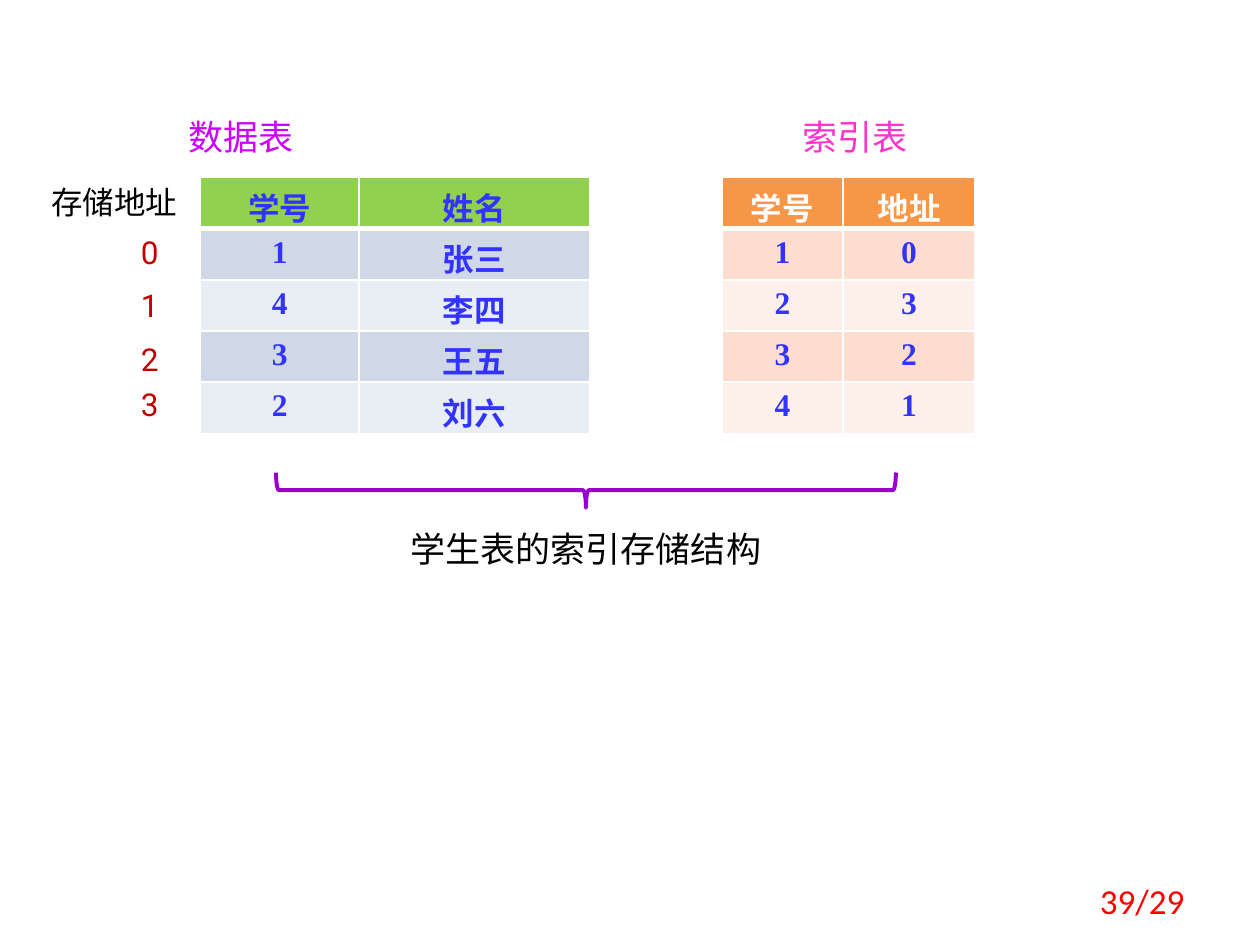
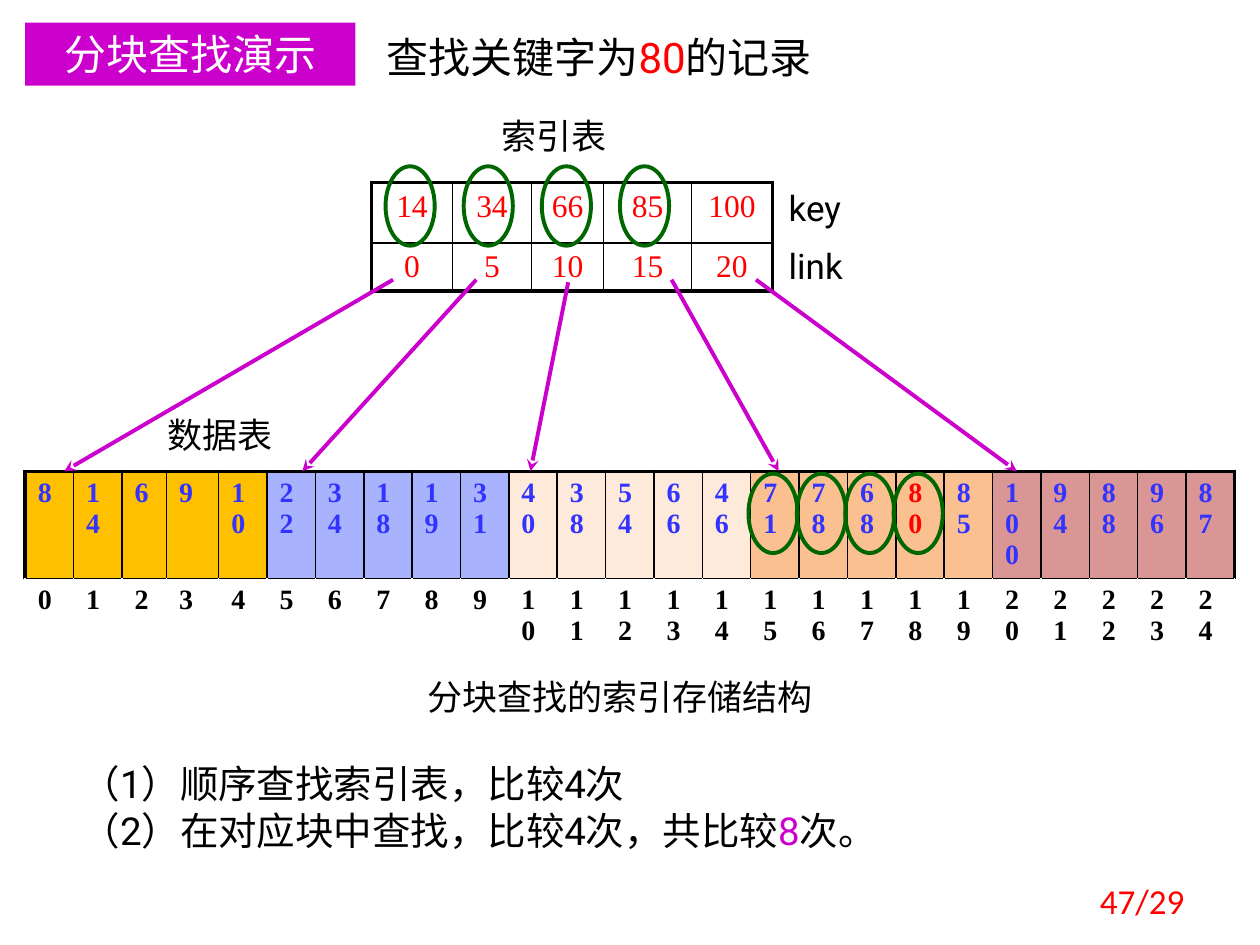
"""Build two slides on indexed storage and block search."""
from lxml.etree import SubElement
from pptx import Presentation
from pptx.dml.color import RGBColor
from pptx.enum.shapes import MSO_CONNECTOR, MSO_SHAPE
from pptx.enum.text import MSO_ANCHOR, PP_ALIGN
from pptx.oxml import parse_xml
from pptx.oxml.ns import nsdecls, qn
from pptx.util import Inches, Pt

THEME = {
    "body": "Roboto", "chinese": "Noto Sans CJK SC", "table": "Times New Roman", "number": "Calibri",
    "title_size": 24, "list_size": 22, "label_size": 20, "cell_size": 18, "small_size": 16,
    "line": 2.25, "thin": 1, "rule": 3,
    "black": "000000", "white": "FFFFFF", "red": "FF0000", "blue": "3333FF", "address": "C00000",
    "purple": "CC00CC", "violet": "CC00FF", "pink": "FF33CC", "brace": "9900CC", "green": "006600",
    "data_bands": ["92D050", "D0D8E8", "E9EDF4"],
    "index_bands": ["F79646", "FCDDCF", "FDEFE9"],
    "blocks": ["FFC000", "A9B3FD", "FDEADA", "FAC090", "D99694"],
}

presentation = Presentation()
presentation.slide_width, presentation.slide_height = Inches(10), Inches(7.5)
GRID = presentation.slide_width // 100
blank = presentation.slide_layouts[6]


def add_text(slide, box, paragraphs, size="label_size", font="body", align=PP_ALIGN.LEFT,
             inset=True, fill=None, spacing=None):
    """Add text whose paragraphs are lists of (words, colour) runs."""
    place = [int(length * GRID) for length in box]
    if fill:
        shape = slide.shapes.add_shape(MSO_SHAPE.RECTANGLE, *place)
        shape.shadow.inherit = False
        shape.fill.solid()
        shape.fill.fore_color.rgb = RGBColor.from_string(THEME[fill])
        shape.line.fill.background()
    else:
        shape = slide.shapes.add_textbox(*place)
    frame = shape.text_frame
    frame.word_wrap, frame.vertical_anchor = True, MSO_ANCHOR.MIDDLE
    if not inset:
        for side in ("left", "right", "top", "bottom"):
            setattr(frame, f"margin_{side}", 0)
    for number, words in enumerate(paragraphs):
        paragraph = frame.add_paragraph() if number else frame.paragraphs[0]
        paragraph.alignment, paragraph.line_spacing = align, spacing
        if number:
            paragraph.space_before = Pt(THEME[size] / 2)
        for text, colour in words:
            run = paragraph.add_run()
            run.text = text
            for name, value in {"size": Pt(THEME[size]), "name": THEME[font]}.items():
                setattr(run.font, name, value)
            run.font.color.rgb = RGBColor.from_string(THEME[colour])
            SubElement(run._r.get_or_add_rPr(), qn("a:ea"), typeface=THEME[font])


def add_table(slide, corner, widths, heights, rows, look, edges, size="cell_size", bold=True,
              align=PP_ALIGN.CENTER):
    """Add a table; look gives (fill, text colour) and edges gives border widths of a cell."""
    place = [int(length * GRID) for length in (*corner, sum(widths), sum(heights))]
    table = slide.shapes.add_table(len(rows), len(widths), *place).table
    table.first_row = table.horz_banding = False
    for column, width in zip(table.columns, widths):
        column.width = int(width * GRID)
    for row_number, (row, height) in enumerate(zip(rows, heights)):
        table.rows[row_number].height = int(height * GRID)
        for column_number, text in enumerate(row):
            cell = table.cell(row_number, column_number)
            cell.margin_bottom = 0
            fill, colour = look(row_number, column_number)
            if fill:
                cell.fill.solid()
                cell.fill.fore_color.rgb = RGBColor.from_string(fill)
            else:
                cell.fill.background()
            border_colour, border_widths = edges(row_number, column_number)
            properties = cell._tc.get_or_add_tcPr()
            for position, (side, width) in enumerate(border_widths.items()):
                properties.insert(position, parse_xml(
                    f'<a:ln{side} {nsdecls("a")} w="{Pt(width)}"><a:solidFill>'
                    f'<a:srgbClr val="{THEME[border_colour]}"/></a:solidFill></a:ln{side}>'))
            paragraph = cell.text_frame.paragraphs[0]
            paragraph.alignment = align
            run = paragraph.add_run()
            run.text = str(text)
            formats = {"size": Pt(THEME[size]), "name": THEME["table"], "bold": bold}
            for name, value in formats.items():
                setattr(run.font, name, value)
            run.font.color.rgb = RGBColor.from_string(THEME[colour])
            SubElement(run._r.get_or_add_rPr(), qn("a:ea"), typeface=THEME["chinese"])


storage, search = [presentation.slides.add_slide(blank) for _ in range(2)]
for slide, page in ((storage, "39/29"), (search, "47/29")):
    add_text(slide, (71.7, 69.5, 23.3, 4), [[(page, "red")]], font="number", align=PP_ALIGN.RIGHT)

student_tables = [
    (15.9, [12.6, 18.3], "data_bands", "blue",
     [["学号", "姓名"], [1, "张三"], [4, "李四"], [3, "王五"], [2, "刘六"]]),
    (57.3, [9.6, 10.5], "index_bands", "white",
     [["学号", "地址"], [1, 0], [2, 3], [3, 2], [4, 1]]),
]
for left, widths, bands, heading, rows in student_tables:
    add_table(
        storage, (left, 14.1), widths, [4.06] * 5, rows,
        lambda row, column: (THEME[bands][2 - row % 2 if row else 0], "blue" if row else heading),
        lambda row, column: ("white", {
            "L": THEME["thin"], "R": THEME["thin"],
            "T": THEME["rule" if row == 1 else "thin"],
            "B": THEME["thin" if row else "rule"]}))

for address, top in enumerate((18, 22.2, 26.5, 30.1)):
    add_text(storage, (10.2, top, 4.7, 4), [[(str(address), "address")]], "cell_size")
add_text(storage, (3.1, 14, 13, 4), [[("存储地址", "black")]], "cell_size", "chinese")
for box, text, colour in (
    ((13.3, 8.6, 11.7, 4.4), "数据表", "violet"),
    ((62, 8.6, 11.7, 4.4), "索引表", "pink"),
    ((26.6, 41.3, 39.8, 4.4), "学生表的索引存储结构", "black"),
):
    add_text(storage, box, [[(text, colour)]], align=PP_ALIGN.CENTER)

brace = storage.shapes.add_shape(
    MSO_SHAPE.LEFT_BRACE, *[int(length * GRID) for length in (45.1, 14.3, 2.8, 49.2)])
brace.rotation = 270
brace.shadow.inherit = False
brace.fill.background()
brace.line.color.rgb = RGBColor.from_string(THEME["brace"])
brace.line.width = Pt(THEME["line"])

records = [8, 14, 6, 9, 10, 22, 34, 18, 19, 31, 40, 38, 54, 66, 46,
           71, 78, 68, 80, 85, 100, 94, 88, 96, 87]
target = records.index(80)
last_record = len(records) - 1
add_table(
    search, (2, 37.4), [3.84] * 2 + [3.54, 4.14] + [3.84] * 21, [8.5, 6.8],
    [records, range(len(records))],
    lambda row, column: (None, "black") if row else (
        THEME["blocks"][column // 5], "red" if column == target else "blue"),
    lambda row, column: ("black", {"T": THEME["thin"]} if row else {
        "L": THEME["thin" if column else "line"],
        "R": THEME["line" if column == last_record else "thin"],
        "T": THEME["line"], "B": THEME["thin"]}),
    "small_size", align=PP_ALIGN.LEFT)

add_table(
    search, (29.5, 14.5), [6.4, 6.3, 5.7, 7, 6.4], [4.8, 3.8],
    [[14, 34, 66, 85, 100], [0, 5, 10, 15, 20]],
    lambda row, column: (None, "red"),
    lambda row, column: ("black", {
        "L": THEME["thin" if column else "line"],
        "R": THEME["line" if column == 4 else "thin"],
        "T": THEME["thin" if row else "line"],
        "B": THEME["line" if row else "thin"]}),
    bold=False)

for left, top, text in ((39.8, 9.1, "索引表"), (62.6, 14.8, "key"), (62.6, 19.4, "link"),
                        (13.3, 32.8, "数据表")):
    add_text(search, (left, top, 10.2, 3.3), [[(text, "black")]], inset=False)

for start, top, end in ((31.2, 22.2, 5.1), (37.8, 22.2, 24), (45.1, 22.4, 42.1),
                        (53.3, 22.2, 61.8), (60, 22.2, 80.7)):
    arrow = search.shapes.add_connector(
        MSO_CONNECTOR.STRAIGHT, *[int(length * GRID) for length in (start, top, end, 37.4)])
    arrow.line.color.rgb = RGBColor.from_string(THEME["purple"])
    arrow.line.width = Pt(THEME["line"])
    SubElement(arrow.line._get_or_add_ln(), qn("a:tailEnd"), type="stealth")
    SubElement(arrow._element.spPr, qn("a:effectLst"))

for first, step, top in ((30.6, 6.2, 13.2), (59.4, 3.84, 37.6)):
    for number in range(4):
        place = [int(length * GRID) for length in (first + number * step, top, 3.9, 6.3)]
        ring = search.shapes.add_shape(MSO_SHAPE.OVAL, *place)
        ring.shadow.inherit = False
        ring.fill.background()
        ring.line.color.rgb = RGBColor.from_string(THEME["green"])
        ring.line.width = Pt(THEME["line"])

add_text(search, (2, 1.8, 26.2, 5), [[("分块查找演示", "white")]], "title_size", "chinese",
         PP_ALIGN.CENTER, fill="purple")
add_text(search, (29.7, 2, 41.7, 5),
         [[("查找关键字为", "black"), ("80", "red"), ("的记录", "black")]], "title_size")
add_text(search, (28.1, 53.1, 42.2, 4.4), [[("分块查找的索引存储结构", "black")]],
         align=PP_ALIGN.CENTER)
add_text(search, (5.5, 60.9, 75.6, 7.4),
         [[("（1）顺序查找索引表，比较4次", "black")],
          [("（2）在对应块中查找，比较4次，共比较", "black"), ("8", "purple"), ("次。", "black")]],
         "list_size", spacing=0.6)

presentation.save("out.pptx")
